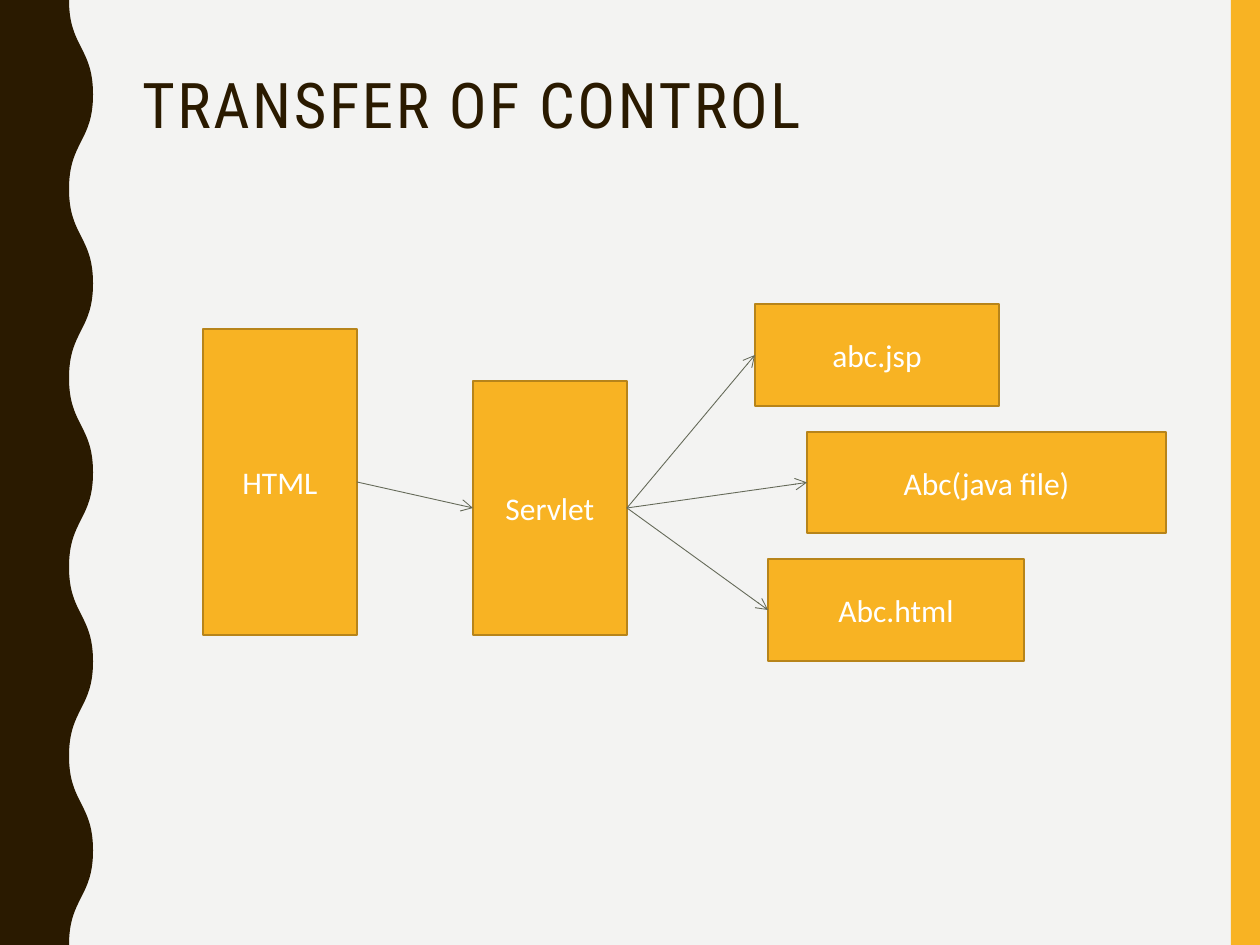
from dataclasses import dataclass

import lxml.etree
import pptx
import pptx.dml.color
import pptx.enum.shapes
import pptx.enum.text
import pptx.oxml.ns
import pptx.util

PAGE_WIDTH, PAGE_HEIGHT = 1260, 945
SCALE = 914400 / 126
AMBER, BROWN, WHITE = "F8B323", "2A1A00", "FFFFFF"
WAVE_VALLEY, WAVE_CREST = 69, 93
HALF_WAVES = 10


@dataclass(frozen=True)
class Node:
    label: str
    left: int
    top: int
    width: int
    height: int


NODES = [
    Node("HTML", 203, 329, 154, 306),
    Node("Servlet", 473, 381, 154, 254),
    Node("abc.jsp", 755, 304, 244, 102),
    Node("Abc.html", 768, 559, 256, 102),
    Node("Abc(java file)", 807, 432, 359, 101),
]
LINKS = [
    ("HTML", "Servlet"),
    ("Servlet", "abc.jsp"),
    ("Servlet", "Abc(java file)"),
    ("Servlet", "Abc.html"),
]


def px(length: float) -> pptx.util.Emu:
    return pptx.util.Emu(round(length * SCALE))


def color(value: str) -> pptx.dml.color.RGBColor:
    return pptx.dml.color.RGBColor.from_string(value)


def paint(shape, fill: str, line: str = "") -> None:
    shape.shadow.inherit = False
    shape.fill.solid()
    shape.fill.fore_color.rgb = color(fill)
    if line:
        shape.line.color.rgb = color(line)
        shape.line.width = pptx.util.Pt(1)
    else:
        shape.line.fill.background()


def format_text(para, font: str, size: int, ink: str) -> None:
    for span in para.runs:
        span.font.name = font
        span.font.size = pptx.util.Pt(size)
        span.font.color.rgb = color(ink)


def add_box(page, left: int, top: int, width: int, height: int):
    return page.shapes.add_shape(
        pptx.enum.shapes.MSO_SHAPE.RECTANGLE, px(left), px(top), px(width), px(height)
    )


def add_wave(page) -> None:
    half = PAGE_HEIGHT / HALF_WAVES
    edge = [
        (px(WAVE_CREST if index % 2 else WAVE_VALLEY), px(half * index))
        for index in range(HALF_WAVES + 1)
    ]
    builder = page.shapes.build_freeform(*edge[0], scale=1.0)
    builder.add_line_segments(edge[1:] + [(0, px(PAGE_HEIGHT)), (0, 0)], close=True)
    wave = builder.convert_to_shape()
    paint(wave, BROWN)
    segments = list(wave._element.iter(pptx.oxml.ns.qn("a:lnTo")))[:HALF_WAVES]
    for segment, (x0, y0), (x1, y1) in zip(segments, edge, edge[1:]):
        curve = lxml.etree.Element(pptx.oxml.ns.qn("a:cubicBezTo"))
        middle = (y0 + y1) // 2
        for x, y in [(x0, middle), (x1, middle), (x1, y1)]:
            lxml.etree.SubElement(curve, pptx.oxml.ns.qn("a:pt"), x=str(x), y=str(y))
        segment.getparent().replace(segment, curve)


def format_title(page) -> None:
    title = page.shapes.title
    title.left, title.top = px(63), px(0)
    title.width, title.height = px(1134), px(158)
    frame = title.text_frame
    frame.text = "TRANSFER OF CONTROL"
    frame.word_wrap = True
    frame.vertical_anchor = pptx.enum.text.MSO_ANCHOR.BOTTOM
    frame.margin_left, frame.margin_bottom = px(79), px(16)
    para = frame.paragraphs[0]
    para.alignment = pptx.enum.text.PP_ALIGN.LEFT
    para.line_spacing = 0.9
    format_text(para, "Roboto Condensed", 36, BROWN)
    para.runs[0].font._element.set("spc", "150")


def add_node(page, node: Node):
    box = add_box(page, node.left, node.top, node.width, node.height)
    paint(box, AMBER, "B7841A")
    frame = box.text_frame
    frame.text = node.label
    frame.word_wrap = True
    frame.vertical_anchor = pptx.enum.text.MSO_ANCHOR.MIDDLE
    para = frame.paragraphs[0]
    para.alignment = pptx.enum.text.PP_ALIGN.CENTER
    format_text(para, "Calibri", 18, WHITE)
    return box


def add_arrow(page, source, target) -> None:
    arrow = page.shapes.add_connector(
        pptx.enum.shapes.MSO_CONNECTOR.STRAIGHT, 0, 0, 0, 0
    )
    arrow.begin_connect(source, 3)
    arrow.end_connect(target, 1)
    arrow.line.color.rgb = color("656A59")
    arrow.line.width = pptx.util.Pt(0.5)
    line = arrow.line._get_or_add_ln()
    lxml.etree.SubElement(line, pptx.oxml.ns.qn("a:tailEnd"), type="arrow")
    lxml.etree.SubElement(arrow._element.spPr, pptx.oxml.ns.qn("a:effectLst"))


def main() -> None:
    deck = pptx.Presentation()
    deck.slide_width, deck.slide_height = px(PAGE_WIDTH), px(PAGE_HEIGHT)
    page = deck.slides.add_slide(deck.slide_layouts[5])
    page.background.fill.solid()
    page.background.fill.fore_color.rgb = color("F3F3F2")
    paint(add_box(page, 1231, 0, 29, PAGE_HEIGHT), AMBER)
    add_wave(page)
    format_title(page)
    boxes = {node.label: add_node(page, node) for node in NODES}
    for source, target in LINKS:
        add_arrow(page, boxes[source], boxes[target])
    deck.save("out.pptx")


if __name__ == "__main__":
    main()
